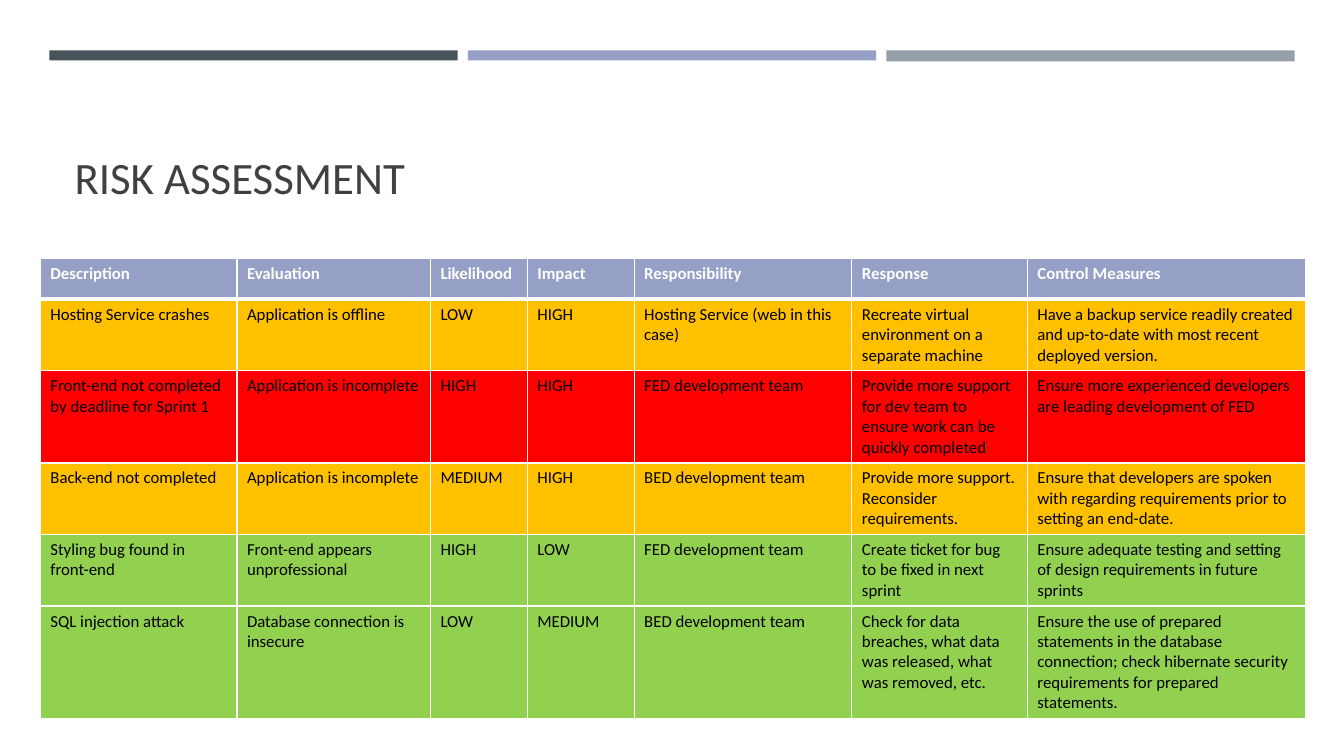
import pptx
import pptx.dml.color
import pptx.enum.shapes
import pptx.enum.text
import pptx.oxml.ns
import pptx.util
from lxml import etree
from pptx.util import Inches

RGBColor = pptx.dml.color.RGBColor
SLATE = RGBColor(0x46, 0x53, 0x59)
LAVENDER = RGBColor(0x96, 0x9F, 0xC6)
GREY = RGBColor(0x96, 0x9F, 0xA7)
CHARCOAL = RGBColor(0x40, 0x40, 0x40)
WHITE = RGBColor(0xFF, 0xFF, 0xFF)
BLACK = RGBColor(0x00, 0x00, 0x00)
AMBER = RGBColor(0xFF, 0xC0, 0x00)
RED = RGBColor(0xFF, 0x00, 0x00)
GREEN = RGBColor(0x92, 0xD0, 0x50)


def write_text(text_frame, text, size=12, color=BLACK, bold=False):
    """Fill a text frame, with one paragraph for each line of text."""
    text_frame.text = text
    for paragraph in text_frame.paragraphs:
        font = paragraph.runs[0].font
        font.name = "Calibri"
        font.size = pptx.util.Pt(size)
        font.bold = bold
        font.color.rgb = color


def add_border(cell, side, points):
    """Draw a white line on one side of a cell; call before setting its fill."""
    qn = pptx.oxml.ns.qn
    properties = cell._tc.get_or_add_tcPr()
    line = etree.SubElement(properties, qn(f"a:ln{side}"), w=str(pptx.util.Pt(points)))
    fill = etree.SubElement(line, qn("a:solidFill"))
    etree.SubElement(fill, qn("a:srgbClr"), val=str(WHITE))


presentation = pptx.Presentation()
presentation.slide_width = Inches(13.33)
presentation.slide_height = Inches(7.5)
slide = presentation.slides.add_slide(presentation.slide_layouts[5])

# Bars across the top
for index, (color, height) in enumerate([(SLATE, 0.1), (LAVENDER, 0.1), (GREY, 0.11)]):
    bar = slide.shapes.add_shape(
        pptx.enum.shapes.MSO_SHAPE.RECTANGLE,
        Inches(0.49 + 4.15 * index), Inches(0.5), Inches(4.05), Inches(height))
    bar.shadow.inherit = False
    bar.fill.solid()
    bar.fill.fore_color.rgb = color
    bar.line.fill.background()

# Title
title = slide.shapes.title
title.left, title.top = Inches(0.64), Inches(0.77)
title.width, title.height = Inches(12.06), Inches(1.3)
title.text_frame.vertical_anchor = pptx.enum.text.MSO_ANCHOR.BOTTOM
write_text(title.text_frame, "RISK ASSESSMENT", size=32, color=CHARCOAL)
title.text_frame.paragraphs[0].alignment = pptx.enum.text.PP_ALIGN.LEFT

# Risk table
column_widths = [1.95, 1.92, 0.96, 1.06, 2.16, 1.74, 2.76]
risk_rows = [
    (LAVENDER, ["Description", "Evaluation", "Likelihood", "Impact",
                "Responsibility", "Response", "Control Measures"]),
    (AMBER, ["Hosting Service crashes", "Application is offline", "LOW", "HIGH",
             "Hosting Service (web in this case)",
             "Recreate virtual environment on a separate machine",
             "Have a backup service readily created and up-to-date with most "
             "recent deployed version."]),
    (RED, ["Front-end not completed by deadline for Sprint 1",
           "Application is incomplete", "HIGH", "HIGH", "FED development team",
           "Provide more support for dev team to ensure work can be quickly completed",
           "Ensure more experienced developers are leading development of FED"]),
    (AMBER, ["Back-end not completed", "Application is incomplete", "MEDIUM", "HIGH",
             "BED development team",
             "Provide more support.\nReconsider requirements.",
             "Ensure that developers are spoken with regarding requirements "
             "prior to setting an end-date."]),
    (GREEN, ["Styling bug found in front-end", "Front-end appears unprofessional",
             "HIGH", "LOW", "FED development team",
             "Create ticket for bug to be fixed in next sprint",
             "Ensure adequate testing and setting of design requirements in "
             "future sprints"]),
    (GREEN, ["SQL injection attack", "Database connection is insecure",
             "LOW", "MEDIUM", "BED development team",
             "Check for data breaches, what data was released, what was removed, etc.",
             "Ensure the use of prepared statements in the database connection; "
             "check hibernate security requirements for prepared statements."]),
]
table_frame = slide.shapes.add_table(
    len(risk_rows), len(column_widths),
    Inches(0.4), Inches(2.56), Inches(12.54), Inches(4.31))
table = table_frame.table
for column, width in zip(table.columns, column_widths):
    column.width = Inches(width)
for row in table.rows:
    row.height = Inches(0.41)
table_frame.height = Inches(4.31)

for row_index, (fill_color, texts) in enumerate(risk_rows):
    is_header = row_index == 0
    for column_index, text in enumerate(texts):
        cell = table.cell(row_index, column_index)
        write_text(cell.text_frame, text, color=WHITE if is_header else BLACK, bold=is_header)
        add_border(cell, "L", 1)
        add_border(cell, "R", 1)
        add_border(cell, "T", 3 if row_index == 1 else 1)
        add_border(cell, "B", 3 if is_header else 1)
        cell.fill.solid()
        cell.fill.fore_color.rgb = fill_color

presentation.save("out.pptx")
